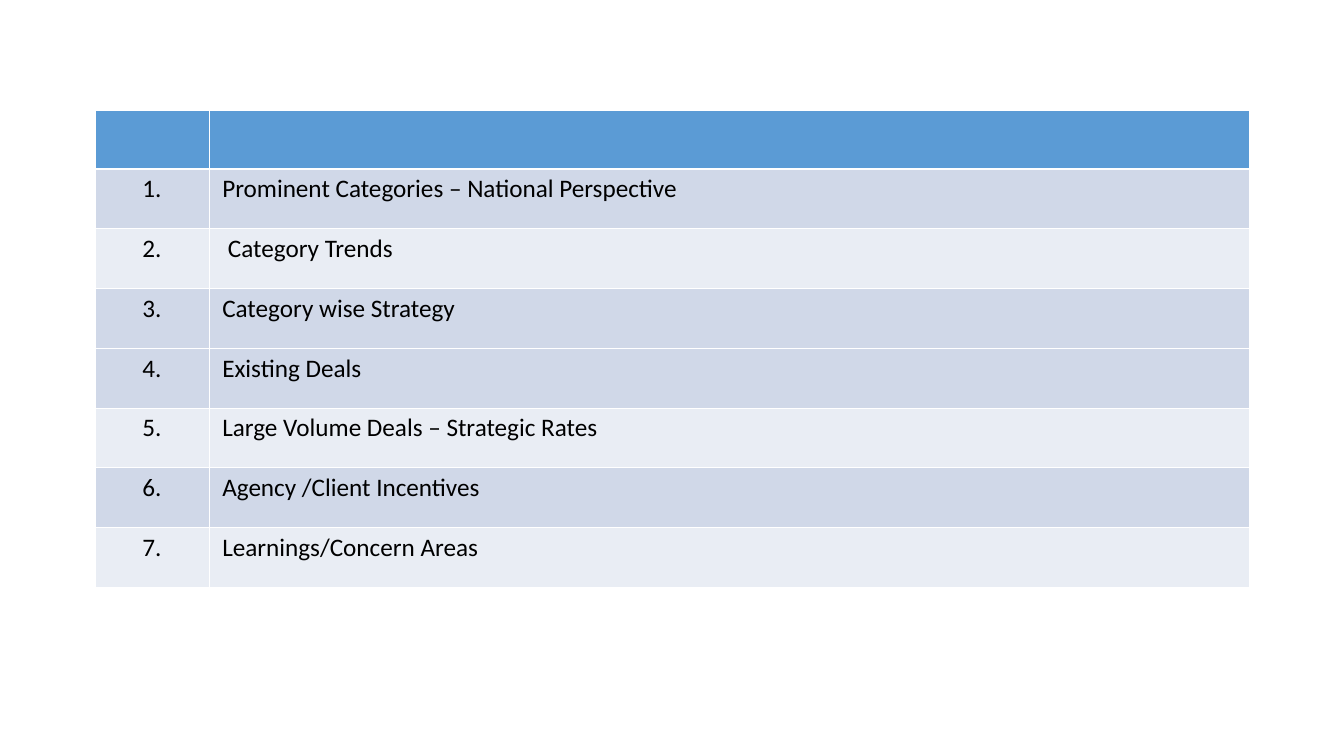
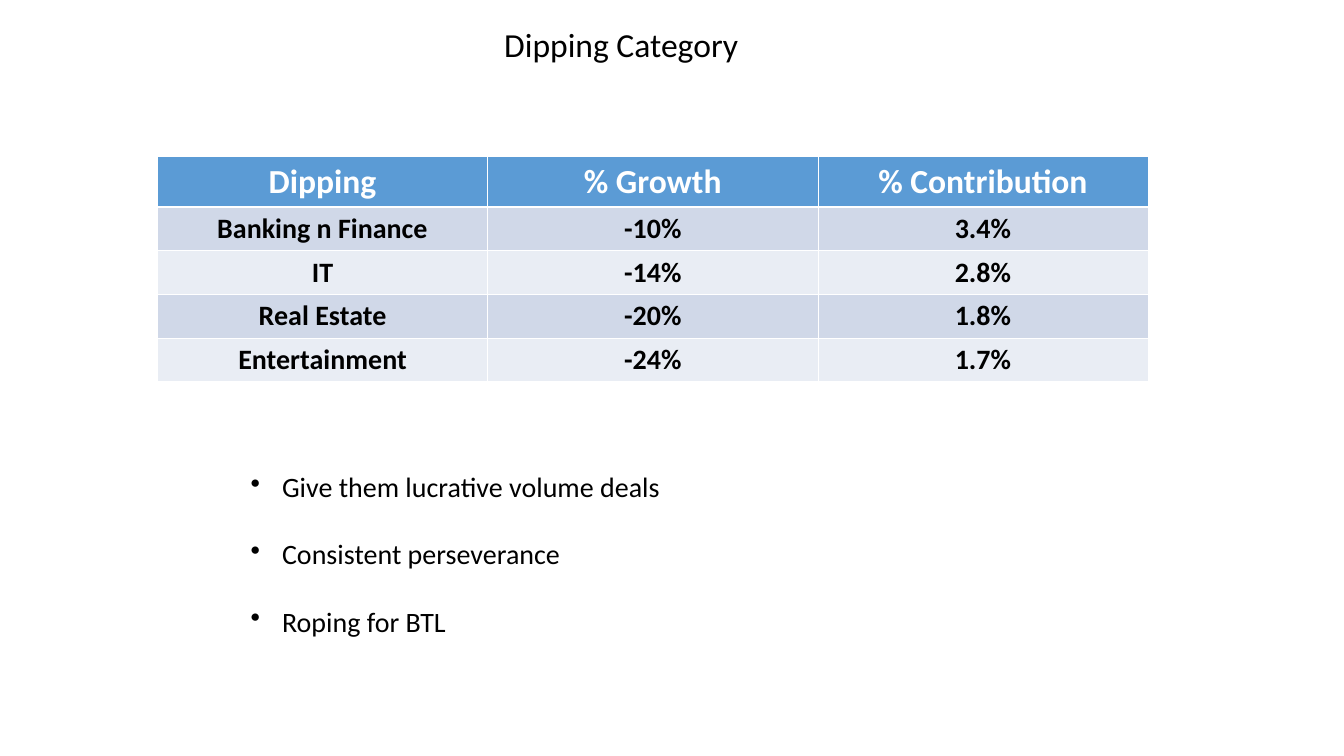
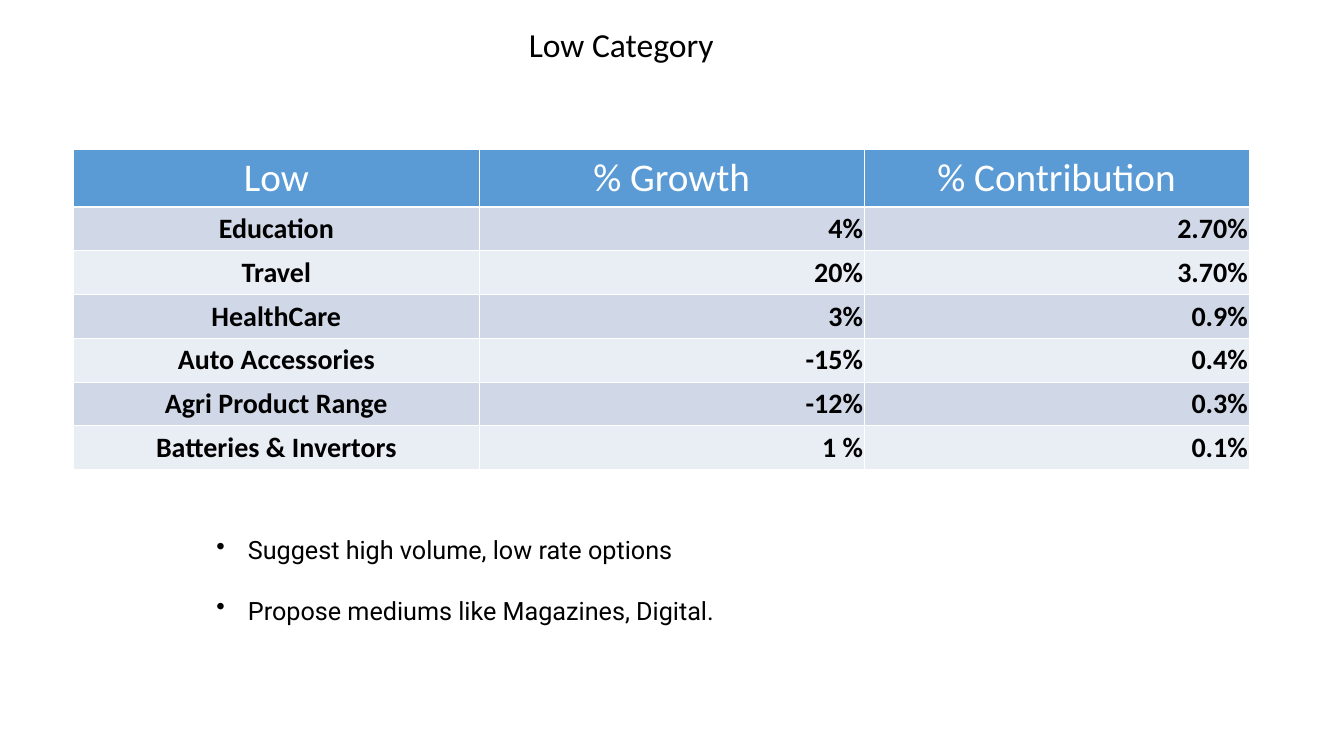
from dataclasses import dataclass
from itertools import cycle, islice

from lxml.etree import SubElement
from pptx import Presentation
from pptx.dml.color import RGBColor as RGB
from pptx.enum.text import MSO_ANCHOR as Anchor
from pptx.enum.text import MSO_AUTO_SIZE as AutoSize
from pptx.enum.text import PP_ALIGN as Align
from pptx.oxml.ns import qn
from pptx.util import Pt


@dataclass(frozen=True)
class Theme:
    black: str = "000000"
    white: str = "FFFFFF"
    header: str = "5B9BD5"
    band_dark: str = "D0D8E8"
    band_light: str = "E9EDF4"
    font: str = "Calibri"
    alternate_font: str = "Roboto"
    title_size: float = 24
    body_size: float = 18
    large_size: float = 20
    thin_line: float = 0.45
    thick_line: float = 1.47
    wide_margin: float = 9.6
    narrow_margin: float = 0.7


THEME = Theme()


@dataclass(frozen=True)
class TableLook:
    aligns: tuple
    header_size: float = THEME.title_size
    header_bold: bool = True
    body_size: float = THEME.large_size
    body_bold: bool = True
    body_anchor: Anchor = Anchor.BOTTOM
    body_margin: float = THEME.narrow_margin
    bands: tuple = (THEME.band_dark, THEME.band_light)


class Deck:
    def __init__(self, width, height):
        self.presentation = Presentation()
        self.presentation.slide_width = Pt(width)
        self.presentation.slide_height = Pt(height)
        self.slide = None

    def new_slide(self):
        blank_layout = self.presentation.slide_layouts[6]
        self.slide = self.presentation.slides.add_slide(blank_layout)

    def add_run(self, paragraph, text, size, color=THEME.black, bold=False, font=THEME.font):
        run = paragraph.add_run()
        run.text = text
        run.font.name = font
        run.font.size = Pt(size)
        run.font.bold = bold
        run.font.color.rgb = RGB.from_string(color)

    def text_box(self, left, top, width, height):
        box = self.slide.shapes.add_textbox(Pt(left), Pt(top), Pt(width), Pt(height))
        box.text_frame.word_wrap = True
        return box.text_frame

    def title(self, text):
        frame = self.text_box(48, 11.5, 792, 43.2)
        frame.vertical_anchor = Anchor.MIDDLE
        paragraph = frame.paragraphs[0]
        paragraph.alignment = Align.CENTER
        paragraph.line_spacing = 0.9
        self.add_run(paragraph, text, THEME.title_size)

    def bullets(self, left, top, height, items, size, gap, font=THEME.font):
        frame = self.text_box(left, top, 548, height)
        frame.auto_size = AutoSize.SHAPE_TO_FIT_TEXT
        for index, item in enumerate(items):
            paragraph = frame.add_paragraph() if index else frame.paragraphs[0]
            if index:
                paragraph.space_before = Pt(gap)
            properties = paragraph._p.get_or_add_pPr()
            properties.set("marL", str(Pt(22.5)))
            properties.set("indent", str(-Pt(22.5)))
            bullet_color = SubElement(properties, qn("a:buClr"))
            SubElement(bullet_color, qn("a:srgbClr"), val=THEME.black)
            SubElement(properties, qn("a:buChar"), char="•")
            self.add_run(paragraph, item, size, font=font)

    def cell_borders(self, cell, row):
        """Thin white lines, with a thicker one under the header row."""
        thick_sides = {0: "lnB", 1: "lnT"}
        properties = cell._tc.get_or_add_tcPr()
        for side in ("lnL", "lnR", "lnT", "lnB"):
            width = THEME.thick_line if thick_sides.get(row) == side else THEME.thin_line
            line = SubElement(properties, qn(f"a:{side}"), w=str(Pt(width)))
            fill = SubElement(line, qn("a:solidFill"))
            SubElement(fill, qn("a:srgbClr"), val=THEME.white)

    def table(self, left, top, widths, header_height, row_height, rows, look):
        heights = [header_height] + [row_height] * (len(rows) - 1)
        table = self.slide.shapes.add_table(
            len(rows), len(widths), Pt(left), Pt(top), Pt(sum(widths)), Pt(sum(heights))
        ).table
        table.horz_banding = False
        for column, width in zip(table.columns, widths):
            column.width = Pt(width)
        fills = [THEME.header, *islice(cycle(look.bands), len(rows) - 1)]
        for row, (texts, height, fill) in enumerate(zip(rows, heights, fills)):
            table.rows[row].height = Pt(height)
            for column, text in enumerate(texts):
                self.fill_cell(table.cell(row, column), row, text, fill, look.aligns[column], look)

    def fill_cell(self, cell, row, text, fill, align, look):
        is_header = row == 0
        self.cell_borders(cell, row)
        cell.fill.solid()
        cell.fill.fore_color.rgb = RGB.from_string(fill)
        margin = THEME.wide_margin if is_header else look.body_margin
        cell.margin_left = cell.margin_right = Pt(margin)
        cell.margin_top = cell.margin_bottom = Pt(3.6)
        cell.vertical_anchor = Anchor.TOP if is_header else look.body_anchor
        paragraph = cell.text_frame.paragraphs[0]
        paragraph.alignment = Align.CENTER if is_header else align
        if not text:
            return
        if is_header:
            self.add_run(paragraph, text, look.header_size, THEME.white, look.header_bold)
        else:
            self.add_run(paragraph, text, look.body_size, bold=look.body_bold)


def agenda_slide(deck):
    deck.new_slide()
    topics = [
        "Prominent Categories – National Perspective",
        " Category Trends",
        "Category wise Strategy",
        "Existing Deals",
        "Large Volume Deals – Strategic Rates",
        "Agency /Client Incentives",
        "Learnings/Concern Areas",
    ]
    dark, light = THEME.band_dark, THEME.band_light
    look = TableLook(
        aligns=(Align.CENTER, Align.LEFT),
        body_size=THEME.body_size,
        body_bold=False,
        body_anchor=Anchor.TOP,
        body_margin=THEME.wide_margin,
        bands=(dark, light, dark, dark, light, dark, light),
    )
    rows = [("", "")] + [(f"{number}.", topic) for number, topic in enumerate(topics, 1)]
    deck.table(67.9, 78.8, [81.4, 743.4], 41.8, 42.7, rows, look)


def dipping_slide(deck):
    deck.new_slide()
    deck.title("Dipping Category")
    rows = [
        ("Dipping", "% Growth", "% Contribution"),
        ("Banking n Finance", "-10%", "3.4%"),
        ("IT", "-14%", "2.8%"),
        ("Real Estate", "-20%", "1.8%"),
        ("Entertainment", "-24%", "1.7%"),
    ]
    look = TableLook(aligns=(Align.CENTER,) * 3)
    deck.table(112.5, 111.6, [236] * 3, 36, 29.2, rows, look)
    deck.bullets(
        172, 332, 127.4,
        ["Give them lucrative volume deals", "Consistent perseverance", "Roping for BTL"],
        THEME.large_size, gap=24,
    )


def low_slide(deck):
    deck.new_slide()
    deck.title("Low Category")
    rows = [
        ("Low", "% Growth", "% Contribution"),
        ("Education", "4%", "2.70%"),
        ("Travel", "20%", "3.70%"),
        ("HealthCare", "3%", "0.9%"),
        ("Auto Accessories", "-15%", "0.4%"),
        ("Agri Product Range", "-12%", "0.3%"),
        ("Batteries & Invertors", "1 %", "0.1%"),
    ]
    look = TableLook(
        aligns=(Align.CENTER, Align.RIGHT, Align.RIGHT), header_size=28, header_bold=False
    )
    deck.table(52.5, 106.8, [290, 275, 275], 41, 29.2, rows, look)
    deck.bullets(
        147.6, 378, 72,
        ["Suggest high volume, low rate options", "Propose mediums like Magazines, Digital."],
        THEME.body_size, gap=21.8, font=THEME.alternate_font,
    )


def main():
    deck = Deck(960.5, 540)
    agenda_slide(deck)
    dipping_slide(deck)
    low_slide(deck)
    deck.presentation.save("out.pptx")


if __name__ == "__main__":
    main()
